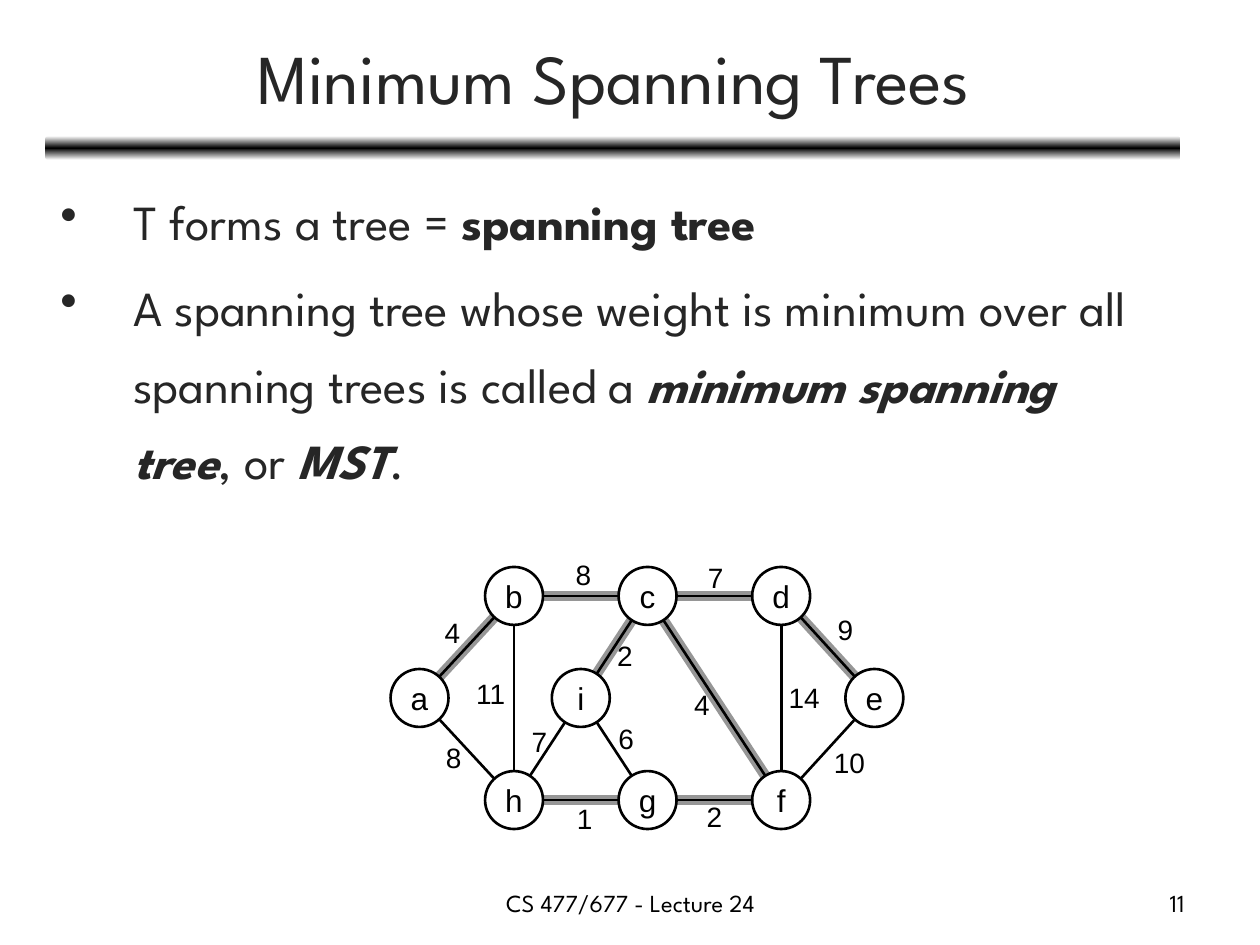
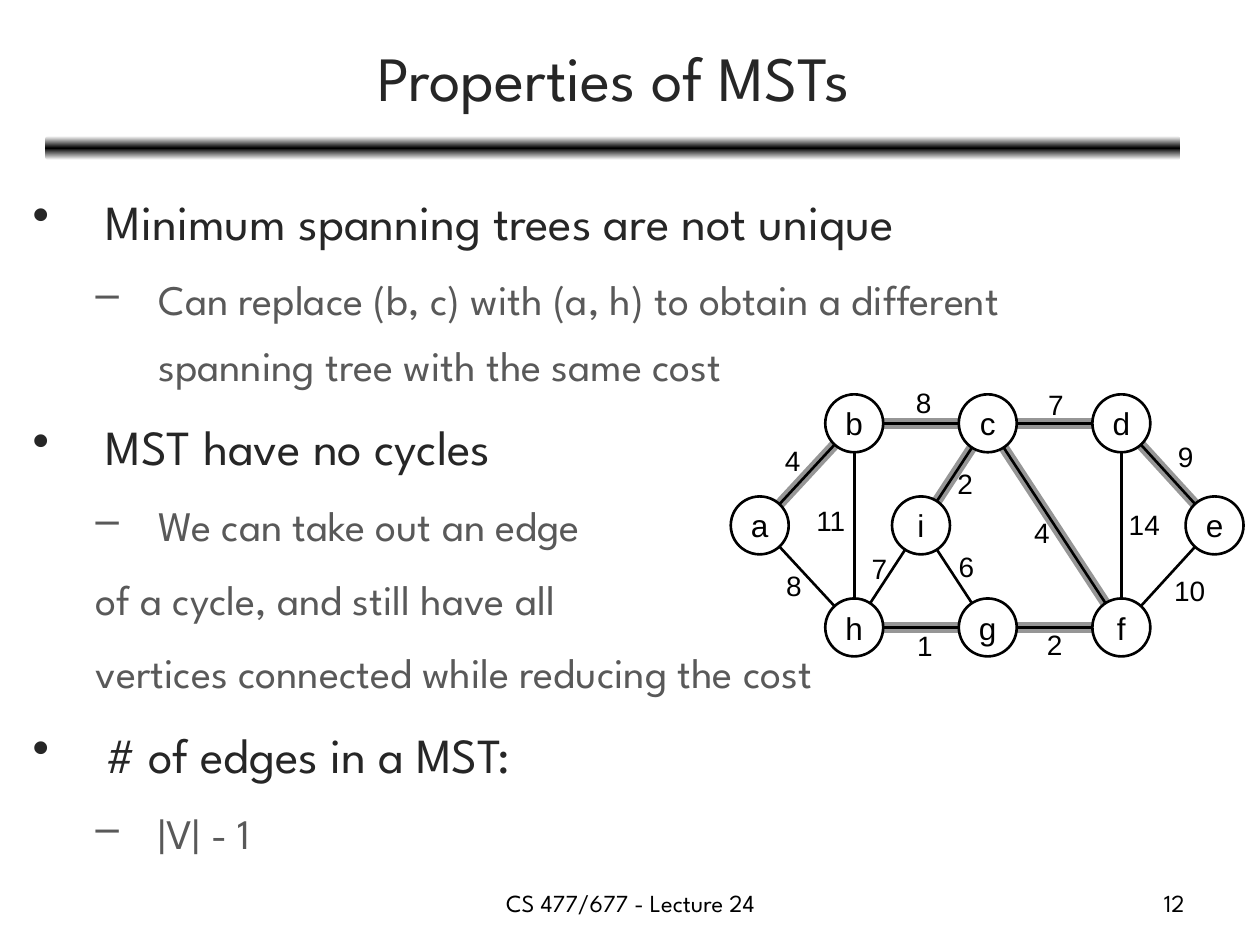
from copy import deepcopy
from math import hypot

from lxml.etree import SubElement
from pptx import Presentation
from pptx.dml.color import RGBColor
from pptx.enum.shapes import MSO_CONNECTOR, MSO_SHAPE
from pptx.enum.text import MSO_ANCHOR, MSO_AUTO_SIZE, PP_ALIGN
from pptx.oxml.ns import qn
from pptx.util import Inches, Pt

# Shared look
BLACK, WHITE, DARK, MEDIUM, GRAY = "000000", "FFFFFF", "262626", "595959", "969696"
TEXT_FONT, GRAPH_FONT = "League Spartan", "Arial"
FOOTER = "CS 477/677 - Lecture 24"

# Paragraph kinds: size, colour, left margin, first-line indent, bullet
KINDS = {
    "point": (28, DARK, 0.58, -0.58, "•"),
    "detail": (24, MEDIUM, 1, -0.5, "–"),
    "continued": (24, MEDIUM, 0.5, 0, None),
}

# Each paragraph: kind, then runs of (text, style) with b for bold, i for italic
SLIDES = [
    {
        "title": "Minimum Spanning Trees", "title_size": 40, "number": 11,
        "body_at": (0.38, 1.33, 8.95, 2.71), "graph_at": (3.1, 4.38),
        "body": [
            ("point", [("T forms a tree = ", ""), ("spanning tree", "b")]),
            ("point", [
                ("A spanning tree whose weight is minimum over all "
                 "spanning trees is called a ", ""),
                ("minimum spanning tree", "bi"), (", or ", ""),
                ("MST", "bi"), (".", "")]),
        ],
    },
    {
        "title": "Properties of MSTs", "title_size": 36, "number": 12,
        "body_at": (0.16, 1.33, 8.95, 5.96), "graph_at": (5.8, 3.01),
        "body": [
            ("point", [("Minimum spanning trees are not unique", "")]),
            ("detail", [("Can replace (b, c) with (a, h) to obtain a different "
                         "spanning tree with the same cost", "")]),
            ("point", [("MST have no cycles", "")]),
            ("detail", [("We can take out an edge", "")]),
            ("continued", [("of a cycle, and still have all", "")]),
            ("continued", [("vertices connected while reducing the cost", "")]),
            ("point", [("# of edges in a MST:", "")]),
            ("detail", [("|V| - 1", "")]),
        ],
    },
]

# Graph: node corners and weight label corners, relative to the graph's corner
NODE_SIZE = 0.46
TOP, MIDDLE, BOTTOM = 0.12, 0.93, 1.74
NODES = {
    "a": (0, MIDDLE), "b": (0.75, TOP), "c": (1.81, TOP), "d": (2.87, TOP),
    "e": (3.61, MIDDLE), "h": (0.75, BOTTOM), "g": (1.81, BOTTOM),
    "f": (2.87, BOTTOM), "i": (1.28, MIDDLE),
}
EDGES = [  # ends, weight, label corner
    ("ab", 4, 0.33, 0.46), ("bc", 8, 1.37, 0), ("cd", 7, 2.42, 0.02),
    ("ah", 8, 0.34, 1.45), ("bh", 11, 0.58, 0.94), ("hg", 1, 1.38, 1.93),
    ("gf", 2, 2.41, 1.92), ("hi", 7, 1.02, 1.32), ("ci", 2, 1.7, 0.64),
    ("cf", 4, 2.31, 1.03), ("df", 14, 3.06, 0.97), ("de", 9, 3.45, 0.43),
    ("ef", 10, 3.42, 1.49), ("gi", 6, 1.71, 1.3),
]
TREE = {"ab", "bc", "cd", "hg", "gf", "ci", "cf", "de"}


def color(value):
    return RGBColor.from_string(value)


def inches(*lengths):
    return [Inches(length) for length in lengths]


def style(paragraph, size, value, font=TEXT_FONT, align=None):
    paragraph.font.size = Pt(size)
    paragraph.font.name = font
    paragraph.font.color.rgb = color(value)
    if align is not None:
        paragraph.alignment = align


def add_label(shapes, at, text, size, font=TEXT_FONT, align=PP_ALIGN.LEFT, wrap=True):
    box = shapes.add_textbox(*inches(*at))
    box.text_frame.word_wrap = wrap
    box.text_frame.text = text
    style(box.text_frame.paragraphs[0], size, BLACK, font, align)


def add_band(page):
    band = page.shapes.add_shape(MSO_SHAPE.ROUNDED_RECTANGLE,
                                 *inches(0.36, 1.08, 9.01, 0.19))
    band.shadow.inherit = False
    band.line.fill.background()
    band.fill.gradient()
    band.fill.gradient_angle = 90
    # A third stop turns the fill into white, black, white
    stop_list = band.element.spPr.find(".//" + qn("a:gsLst"))
    stop_list.append(deepcopy(stop_list[0]))
    for stop, position, value in zip(band.fill.gradient_stops, (0, 0.5, 1),
                                     (WHITE, BLACK, WHITE)):
        stop.position = position
        stop.color.rgb = color(value)


def add_title(page, text, size):
    title = page.shapes.title
    title.left, title.top, title.width, title.height = inches(0.37, 0.11, 9, 0.99)
    frame = title.text_frame
    frame.text = text
    frame.auto_size = MSO_AUTO_SIZE.NONE
    frame.vertical_anchor = MSO_ANCHOR.MIDDLE
    style(frame.paragraphs[0], size, DARK, align=PP_ALIGN.CENTER)


def add_body(page, at, content):
    frame = page.shapes.add_textbox(*inches(*at)).text_frame
    frame.word_wrap = True
    for index, (kind, runs) in enumerate(content):
        size, value, margin, indent, bullet = KINDS[kind]
        paragraph = frame.add_paragraph() if index else frame.paragraphs[0]
        paragraph.line_spacing = 1.3
        if index:
            paragraph.space_before = Pt(0.2 * size)
        properties = paragraph._p.get_or_add_pPr()
        properties.set("marL", str(Inches(margin)))
        properties.set("indent", str(Inches(indent)))
        if bullet:
            SubElement(properties, qn("a:buChar"), char=bullet)
        else:
            SubElement(properties, qn("a:buNone"))
        style(paragraph, size, value)
        for text, marks in runs:
            span = paragraph.add_run()
            span.text = text
            if "b" in marks:
                span.font.bold = True
            if "i" in marks:
                span.font.italic = True


def add_edge(shapes, centers, ends, value, width):
    (x1, y1), (x2, y2) = (centers[name] for name in ends)
    # Stop the line at the rims of the two circles
    part = NODE_SIZE / 2 / hypot(x2 - x1, y2 - y1)
    dx, dy = part * (x2 - x1), part * (y2 - y1)
    edge = shapes.add_connector(MSO_CONNECTOR.STRAIGHT,
                                *inches(x1 + dx, y1 + dy, x2 - dx, y2 - dy))
    edge.line.color.rgb = color(value)
    edge.line.width = Pt(width)
    SubElement(edge.element.spPr, qn("a:effectLst"))


def add_node(shapes, name, center):
    x, y = center
    node = shapes.add_shape(MSO_SHAPE.OVAL, *inches(
        x - NODE_SIZE / 2, y - NODE_SIZE / 2, NODE_SIZE, NODE_SIZE))
    node.shadow.inherit = False
    node.fill.background()
    node.line.color.rgb = color(BLACK)
    node.line.width = Pt(1.5)
    frame = node.text_frame
    frame.word_wrap = False
    frame.vertical_anchor = MSO_ANCHOR.MIDDLE
    frame.text = name
    style(frame.paragraphs[0], 18, BLACK, GRAPH_FONT, PP_ALIGN.CENTER)


def add_graph(page, left, top):
    shapes = page.shapes.add_group_shape().shapes
    centers = {name: (left + x + NODE_SIZE / 2, top + y + NODE_SIZE / 2)
               for name, (x, y) in NODES.items()}
    # Tree highlights, nodes, edges, weights, from back to front
    for ends, *_ in EDGES:
        if ends in TREE:
            add_edge(shapes, centers, ends, GRAY, 6)
    for name, center in centers.items():
        add_node(shapes, name, center)
    for ends, *_ in EDGES:
        add_edge(shapes, centers, ends, BLACK, 1.5)
    for _, weight, x, y in EDGES:
        width = 0.32 if weight < 10 else 0.45
        add_label(shapes, (left + x, top + y, width, 0.37), str(weight), 16,
                  GRAPH_FONT, wrap=False)


def main():
    deck = Presentation()
    deck.slide_width, deck.slide_height = inches(10, 7.5)
    for content in SLIDES:
        page = deck.slides.add_slide(deck.slide_layouts[5])
        add_band(page)
        add_title(page, content["title"], content["title_size"])
        add_body(page, content["body_at"], content["body"])
        add_graph(page, *content["graph_at"])
        # Footer and slide number
        add_label(page.shapes, (3.42, 7, 3.17, 0.35), FOOTER, 14,
                  align=PP_ALIGN.CENTER)
        add_label(page.shapes, (7.17, 7, 2.33, 0.35), str(content["number"]), 14,
                  align=PP_ALIGN.RIGHT)
    deck.save("out.pptx")


if __name__ == "__main__":
    main()
